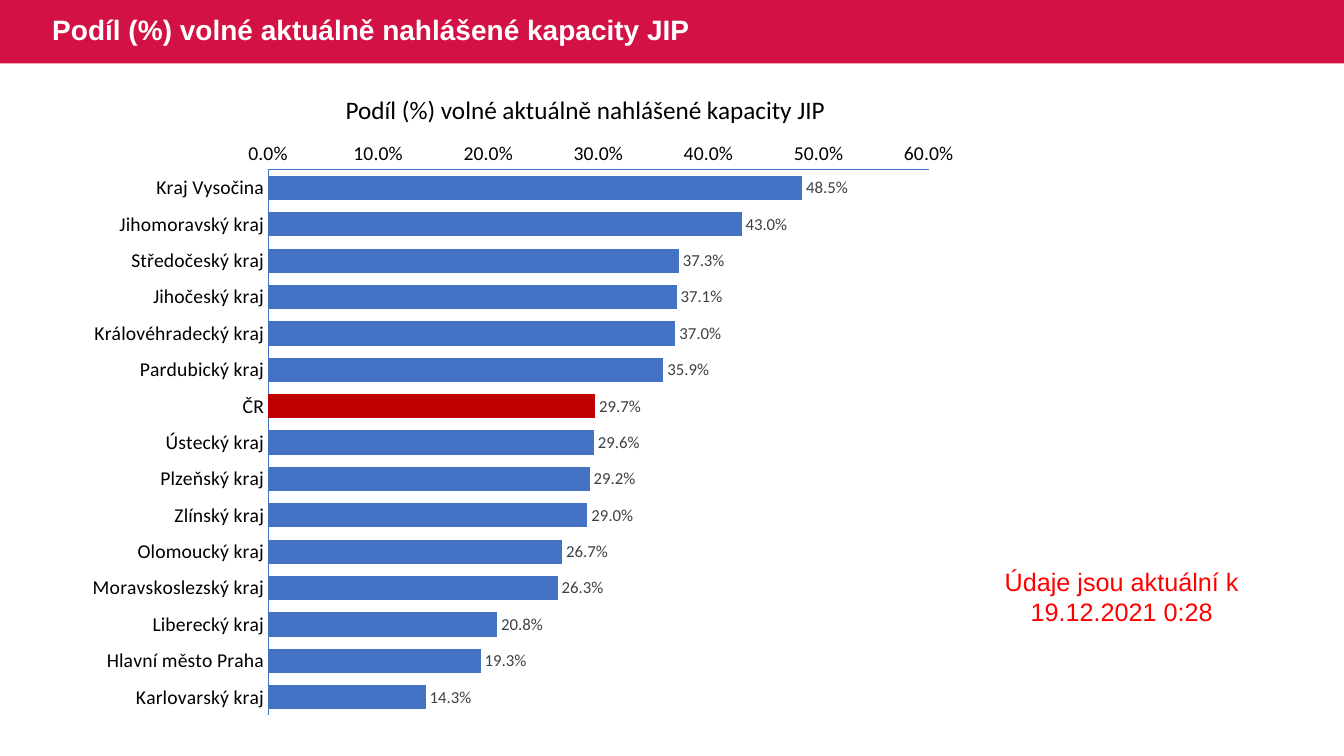
from lxml import etree
from pptx import Presentation
from pptx.chart.data import CategoryChartData
from pptx.dml.color import RGBColor
from pptx.enum.chart import XL_CHART_TYPE as ChartType
from pptx.enum.chart import XL_LABEL_POSITION as LabelPosition
from pptx.enum.chart import XL_TICK_MARK as TickMark
from pptx.enum.shapes import MSO_SHAPE as Shape
from pptx.enum.text import MSO_ANCHOR as Anchor
from pptx.enum.text import PP_ALIGN as Align
from pptx.oxml.ns import qn
from pptx.util import Inches, Pt

CRIMSON = RGBColor(0xD3, 0x11, 0x45)
WHITE = RGBColor(0xFF, 0xFF, 0xFF)
BLACK = RGBColor(0, 0, 0)
BLUE = RGBColor(0x44, 0x72, 0xC4)
DARK_RED = RGBColor(0xC0, 0, 0)
GRAY = RGBColor(0x40, 0x40, 0x40)
RED = RGBColor(0xFF, 0, 0)

HEADING = "Podíl (%) volné aktuálně nahlášené kapacity JIP"
UPDATE_NOTE = "Údaje jsou aktuální k 19.12.2021 0:28"
COUNTRY = "ČR"
FREE_CAPACITY = {
    "Kraj Vysočina": 0.485,
    "Jihomoravský kraj": 0.43,
    "Středočeský kraj": 0.373,
    "Jihočeský kraj": 0.371,
    "Královéhradecký kraj": 0.37,
    "Pardubický kraj": 0.359,
    COUNTRY: 0.297,
    "Ústecký kraj": 0.296,
    "Plzeňský kraj": 0.292,
    "Zlínský kraj": 0.29,
    "Olomoucký kraj": 0.267,
    "Moravskoslezský kraj": 0.263,
    "Liberecký kraj": 0.208,
    "Hlavní město Praha": 0.193,
    "Karlovarský kraj": 0.143,
}

# Left, top, width and height in percent of the slide
BANNER = (0, 0, 100, 8.4)
BANNER_TITLE = (3.15, 0, 86.72, 8.4)
CHART = (5.55, 17.33, 66.69, 79.07)
CHART_HEADING = (24.98, 11.87, 38.48, 5.33)
NOTE = (73.89, 74.27, 19.13, 9.47)
# The same in percent of the chart
PLOT = {"x": 21.6, "y": 6.5, "w": 73.7, "h": 91.3}

prs = Presentation()
prs.slide_width, prs.slide_height = Inches(13.33), Inches(7.5)
slide = prs.slides.add_slide(prs.slide_layouts[6])


def place(area):
    """Turn percentages of the slide into lengths."""
    sides = (prs.slide_width, prs.slide_height) * 2
    return [int(side * share / 100) for side, share in zip(sides, area)]


def style_font(font, size, color, name="Calibri", bold=False):
    font.size, font.name, font.bold = Pt(size), name, bold
    font.color.rgb = color


def add_text(text, area, wrap=True, anchor=Anchor.TOP, align=Align.LEFT,
             spacing=1.0, **font_format):
    frame = slide.shapes.add_textbox(*place(area)).text_frame
    frame.word_wrap, frame.vertical_anchor = wrap, anchor
    paragraph = frame.paragraphs[0]
    paragraph.alignment, paragraph.line_spacing = align, spacing
    run = paragraph.add_run()
    run.text = text
    style_font(run.font, **font_format)


def set_plot_area(chart):
    """Fix the inner plot area at the shares given in PLOT."""
    plot_area = chart.element.find(".//" + qn("c:plotArea"))
    for old_layout in plot_area.findall(qn("c:layout")):
        plot_area.remove(old_layout)
    layout = etree.Element(qn("c:layout"))
    manual = etree.SubElement(layout, qn("c:manualLayout"))
    settings = {"layoutTarget": "inner", "xMode": "edge", "yMode": "edge"}
    settings.update({key: str(share / 100) for key, share in PLOT.items()})
    for tag, value in settings.items():
        etree.SubElement(manual, qn("c:" + tag)).set("val", value)
    plot_area.insert(0, layout)


def add_capacity_chart():
    data = CategoryChartData(number_format="0.0%")
    data.categories = list(FREE_CAPACITY)
    data.add_series("Series 1", list(FREE_CAPACITY.values()))
    chart = slide.shapes.add_chart(
        ChartType.BAR_CLUSTERED, *place(CHART), data).chart
    chart.has_title = chart.has_legend = False
    style_font(chart.font, 10, BLACK)
    set_plot_area(chart)

    for axis in (chart.category_axis, chart.value_axis):
        axis.has_major_gridlines = False
        axis.major_tick_mark = axis.minor_tick_mark = TickMark.NONE
        style_font(axis.tick_labels.font, 14, BLACK)
        axis.format.line.color.rgb = BLUE
        axis.format.line.width = Pt(0.75)
    chart.category_axis.reverse_order = True
    scale = chart.value_axis
    scale.minimum_scale, scale.maximum_scale, scale.major_unit = 0, 0.6, 0.1
    scale.tick_labels.number_format = "0.0%"
    scale.tick_labels.number_format_is_linked = False

    plot = chart.plots[0]
    plot.gap_width, plot.vary_by_categories = 50, False
    regions = plot.series[0]
    regions.invert_if_negative = False
    country_bar = regions.points[list(FREE_CAPACITY).index(COUNTRY)]
    for bar, color in ((regions, BLUE), (country_bar, DARK_RED)):
        bar.format.fill.solid()
        bar.format.fill.fore_color.rgb = color

    labels = regions.data_labels
    labels.show_value = True
    labels.number_format, labels.number_format_is_linked = "0.0%", False
    labels.position = LabelPosition.OUTSIDE_END
    style_font(labels.font, 12, GRAY)


banner = slide.shapes.add_shape(Shape.RECTANGLE, *place(BANNER))
banner.shadow.inherit = False
banner.fill.solid()
banner.fill.fore_color.rgb = CRIMSON
banner.line.fill.background()

add_text(HEADING, BANNER_TITLE, anchor=Anchor.MIDDLE, spacing=0.9,
         size=20, color=WHITE, name="Arial", bold=True)
add_capacity_chart()
add_text(HEADING, CHART_HEADING, wrap=False, size=18, color=BLACK)
add_text(UPDATE_NOTE, NOTE, align=Align.CENTER,
         size=18, color=RED, name="Arial")

prs.save("out.pptx")
